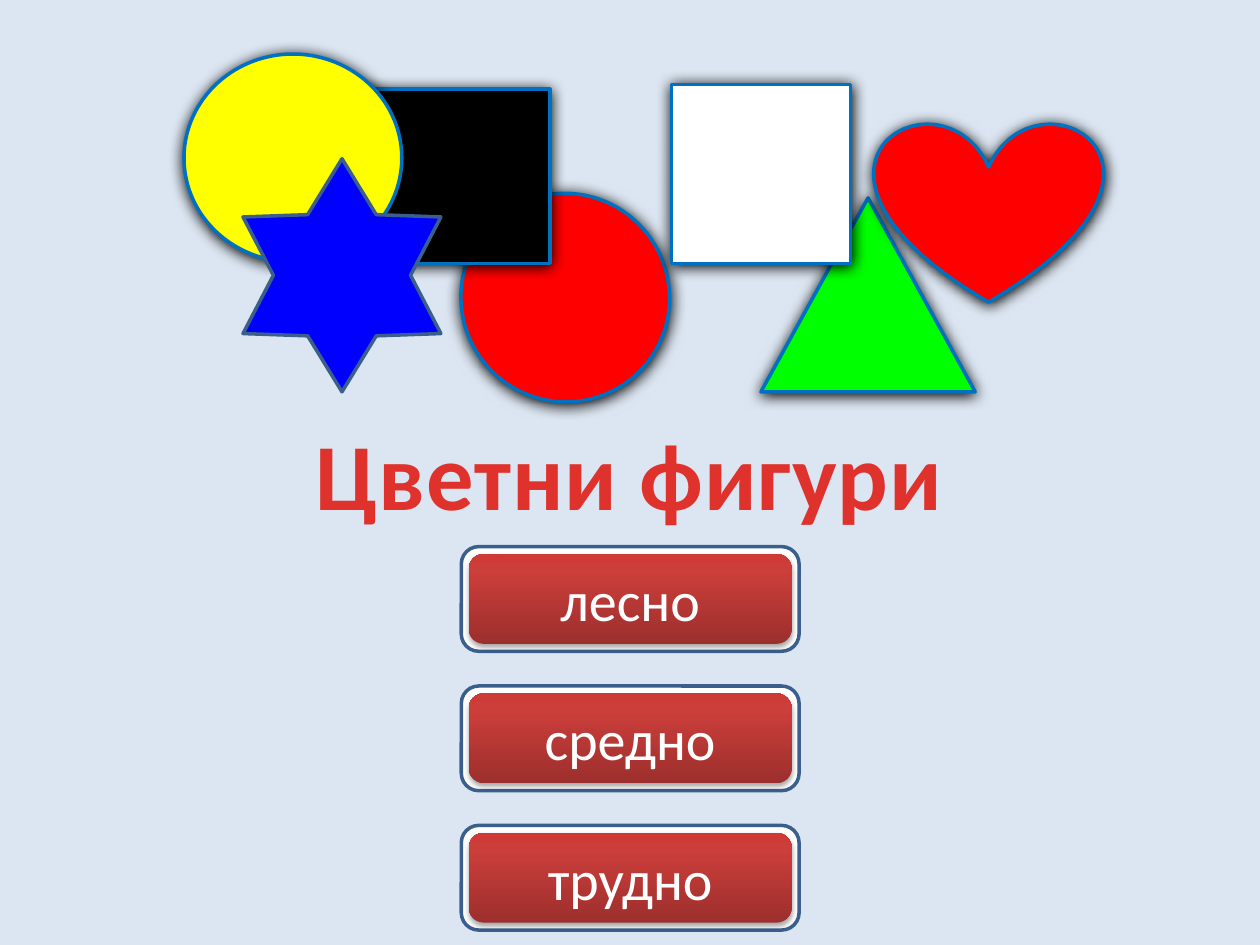
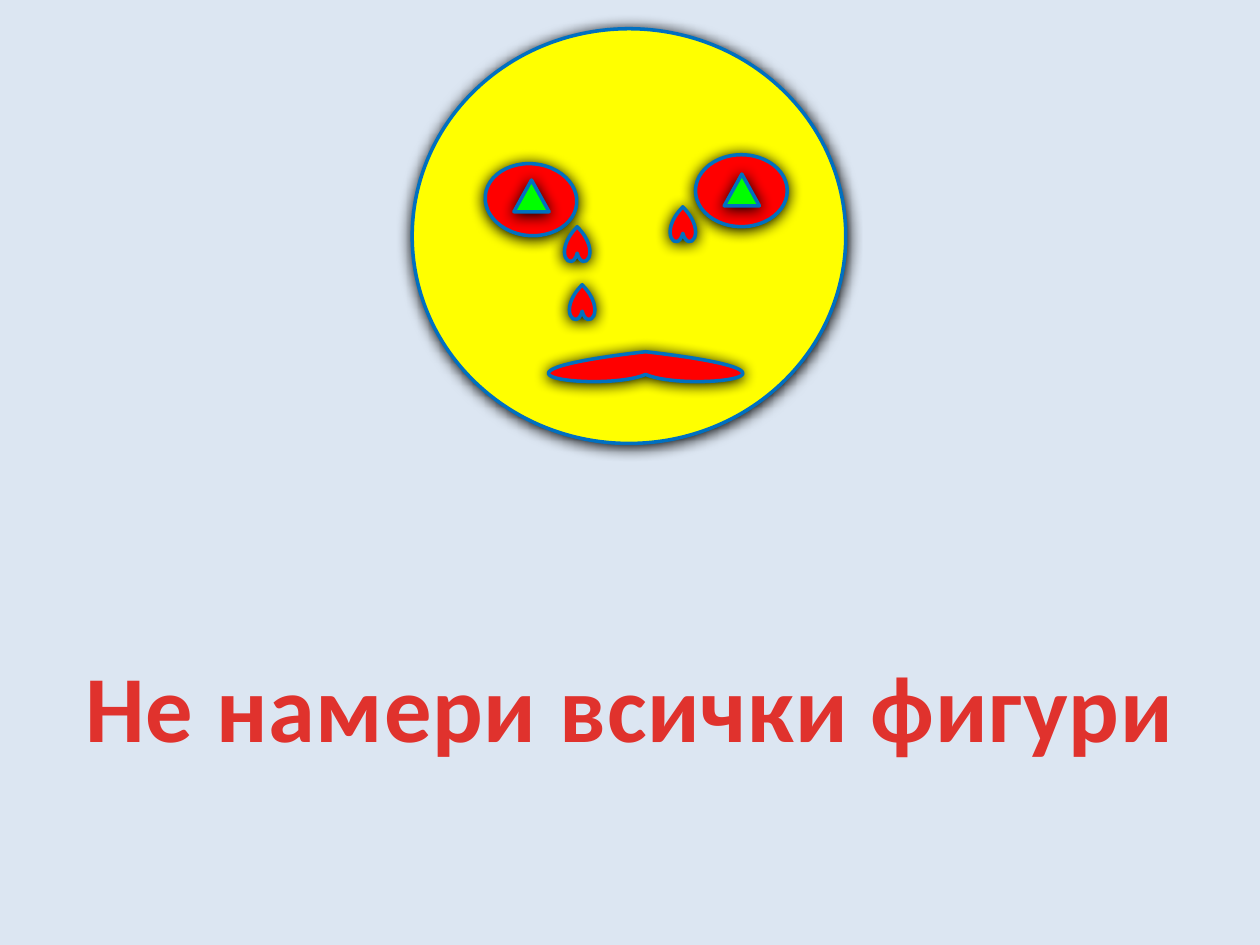
import pptx
import pptx.dml.color
import pptx.enum.shapes
import pptx.enum.text
import pptx.oxml
import pptx.oxml.ns
import pptx.util

Cm, Pt = pptx.util.Cm, pptx.util.Pt
SHAPE = pptx.enum.shapes.MSO_SHAPE
DRAWING = pptx.oxml.ns.nsdecls("a")

# Shared style
FONT = "Calibri"
BACKGROUND, TITLE_RED = "DCE6F2", "E0322D"
OUTLINE, DARK_OUTLINE = "0070C0", "3A5F8C"
WHITE, BLACK, RED, YELLOW, GREEN, BLUE = (
    "FFFFFF", "000000", "FF0000", "FFFF00", "00FF00", "0000FF")
BUTTON_STOPS = [(0, "9C2F2D"), (80, "CB3E3A"), (100, "CE3B37")]
GLOW = (100, 8.5, 1)            # opacity %, blur pt, distance pt
BUTTON_SHADOW = (35, 3.1, 1.8)

# Content, from back to front; boxes are left, top, width, height in cm
START_TITLE = ("Цветни фигури", (6.05, 8.26, 13.28, 2.57))
FIGURES = [  # preset, box, rotation, fill
    (SHAPE.OVAL, (9.3, 3.89, 4.19, 4.22), 315.5, RED),
    (SHAPE.RECTANGLE, (6.98, 1.8, 4.11, 3.51), 0, BLACK),
    (SHAPE.OVAL, (3.71, 1.09, 4.39, 4.19), 0, YELLOW),
    (SHAPE.STAR_6_POINT, (4.9, 3.2, 3.99, 4.7), 0, BLUE),
    (SHAPE.ISOSCELES_TRIANGLE, (15.34, 3.99, 4.32, 3.91), 0, GREEN),
    (SHAPE.RECTANGLE, (13.54, 1.7, 3.61, 3.61), 0, WHITE),
    (SHAPE.HEART, (17.63, 2.46, 4.6, 3.63), 0, RED),
]
LEVELS = ["лесно", "средно", "трудно"]
BUTTON_BOX, BUTTON_PITCH, BUTTON_INSET = (9.3, 11.02, 6.81, 2.11), 2.81, 0.15

LOSS_TITLE = ("Не намери всички фигури", (0, 12.93, 25.4, 2.57))
FACE = (8.31, 0.58, 8.74, 8.36)
EYES = [((9.98, 3.1), 275.1), ((14.22, 2.92), 90)]
PUPILS = [(10.36, 3.63), (14.6, 3.51)]
MOUTH = (11.07, 7.09, 3.89, 0.61)
TEARS = [(11.38, 4.57), (11.48, 5.74), (13.51, 4.17)]
EYE_SIZE, PUPIL_SIZE, TEAR_SIZE = (1.45, 1.85), (0.71, 0.64), (0.51, 0.71)


def color(value):
    return pptx.dml.color.RGBColor.from_string(value)


def add_slide(presentation):
    slide = presentation.slides.add_slide(presentation.slide_layouts[6])
    slide.background.fill.solid()
    slide.background.fill.fore_color.rgb = color(BACKGROUND)
    return slide


def add_figure(slide, preset, box, rotation=0, fill=None, outline=OUTLINE, shadow=GLOW):
    shape = slide.shapes.add_shape(preset, *map(Cm, box))
    shape.rotation = rotation
    if fill:
        shape.fill.solid()
        shape.fill.fore_color.rgb = color(fill)
    if outline:
        shape.line.color.rgb = color(outline)
        shape.line.width = Pt(2)
    else:
        shape.line.fill.background()
    shape.shadow.inherit = False
    if shadow:
        opacity, blur, distance = shadow
        effects = shape._element.spPr.find(pptx.oxml.ns.qn("a:effectLst"))
        effects.append(pptx.oxml.parse_xml(
            f'<a:outerShdw {DRAWING} blurRad="{Pt(blur)}" dist="{Pt(distance)}" '
            f'dir="5400000" algn="ctr" rotWithShape="0"><a:srgbClr val="{BLACK}">'
            f'<a:alpha val="{opacity * 1000}"/></a:srgbClr></a:outerShdw>'))
    return shape


def write(shape, text, size, text_color, bold=False):
    paragraph = shape.text_frame.paragraphs[0]
    paragraph.alignment = pptx.enum.text.PP_ALIGN.CENTER
    run = paragraph.add_run()
    run.text = text
    font = paragraph.font
    font.name, font.size, font.bold = FONT, Pt(size), bold
    font.color.rgb = color(text_color)
    return run


def add_title(slide, text, box):
    title = slide.shapes.add_textbox(*map(Cm, box))
    title.text_frame.word_wrap = False
    run = write(title, text, 54, TITLE_RED, bold=True)
    run._r.get_or_add_rPr().set("spc", "50")


def add_button(slide, text, box):
    left, top, width, height = box
    add_figure(slide, SHAPE.ROUNDED_RECTANGLE, box, fill=WHITE,
               outline=DARK_OUTLINE, shadow=None)
    inner_box = (left + BUTTON_INSET, top + BUTTON_INSET,
                 width - 2 * BUTTON_INSET, height - 2 * BUTTON_INSET)
    button = add_figure(slide, SHAPE.ROUNDED_RECTANGLE, inner_box,
                        outline=None, shadow=BUTTON_SHADOW)
    # Three-stop gradient, dark at the bottom
    button.fill.gradient()
    button.fill.gradient_angle = 90
    stops = button._element.spPr.find(".//" + pptx.oxml.ns.qn("a:gsLst"))
    for stop in list(stops):
        stops.remove(stop)
    for position, value in BUTTON_STOPS:
        stops.append(pptx.oxml.parse_xml(
            f'<a:gs {DRAWING} pos="{position * 1000}"><a:srgbClr val="{value}"/></a:gs>'))
    button.text_frame.vertical_anchor = pptx.enum.text.MSO_ANCHOR.MIDDLE
    write(button, text, 32, WHITE)


def build_start(presentation):
    slide = add_slide(presentation)
    for preset, box, rotation, fill in FIGURES:
        if preset == SHAPE.STAR_6_POINT:
            star = add_figure(slide, preset, box, rotation, fill, DARK_OUTLINE, None)
            star.adjustments[0] = 0.3
        else:
            add_figure(slide, preset, box, rotation, fill)
    add_title(slide, *START_TITLE)
    left, top, width, height = BUTTON_BOX
    for index, level in enumerate(LEVELS):
        add_button(slide, level, (left, top + index * BUTTON_PITCH, width, height))


def build_loss(presentation):
    slide = add_slide(presentation)
    add_title(slide, *LOSS_TITLE)
    add_figure(slide, SHAPE.OVAL, FACE, fill=YELLOW)
    for place, rotation in EYES:
        add_figure(slide, SHAPE.OVAL, place + EYE_SIZE, rotation, RED)
    for place in PUPILS:
        add_figure(slide, SHAPE.ISOSCELES_TRIANGLE, place + PUPIL_SIZE, fill=GREEN)
    # Upside-down hearts form the mouth and the tears
    for box in [MOUTH] + [place + TEAR_SIZE for place in TEARS]:
        add_figure(slide, SHAPE.HEART, box, 180, RED)


def main():
    presentation = pptx.Presentation()
    presentation.slide_width, presentation.slide_height = Cm(25.4), Cm(19.05)
    build_start(presentation)
    build_loss(presentation)
    presentation.save("out.pptx")


if __name__ == "__main__":
    main()
